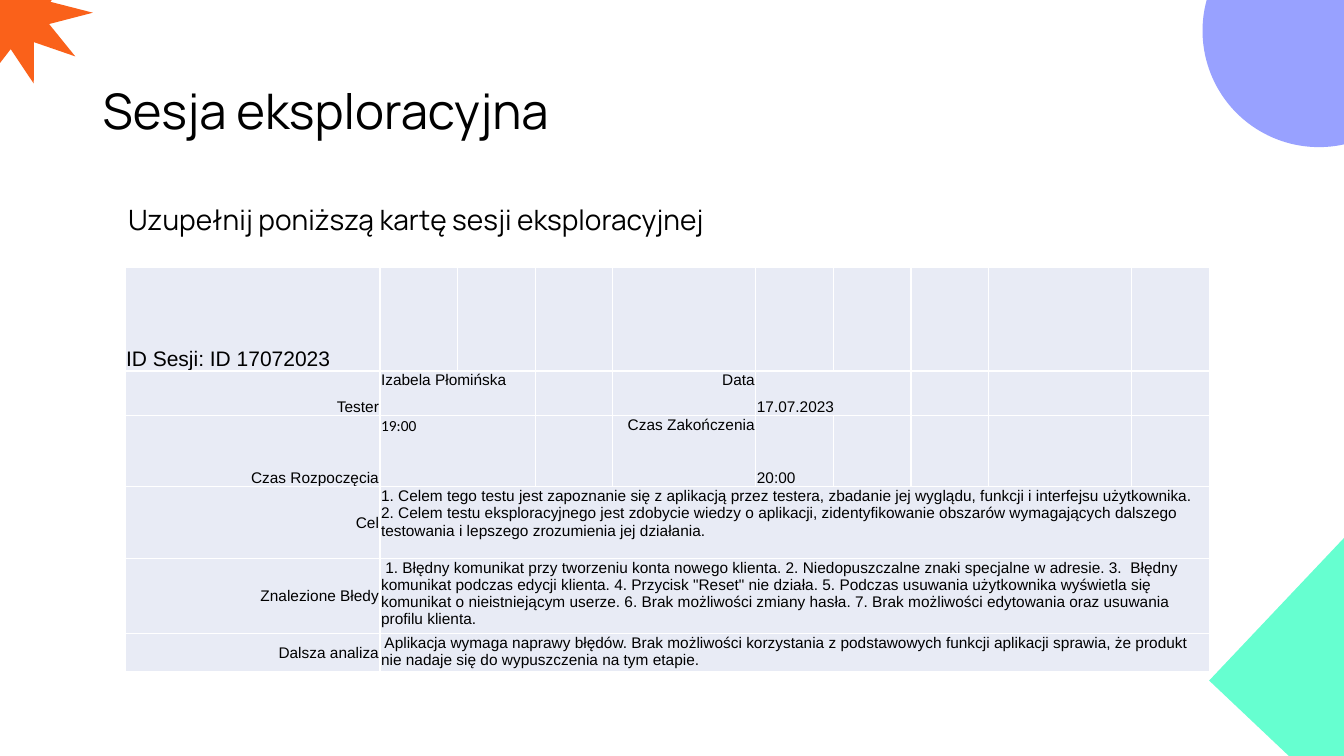
"""Build the exploratory session card slide."""
from dataclasses import dataclass, field

from lxml.etree import SubElement
from pptx import Presentation
from pptx.dml.color import RGBColor
from pptx.enum.shapes import MSO_SHAPE
from pptx.enum.text import MSO_ANCHOR, PP_ALIGN
from pptx.oxml.ns import qn
from pptx.slide import Slide
from pptx.table import _Cell
from pptx.text.text import TextFrame
from pptx.util import Pt

BLACK = RGBColor(0x00, 0x00, 0x00)
WHITE = RGBColor(0xFF, 0xFF, 0xFF)
VIOLET = RGBColor(0x98, 0xA1, 0xFF)
MINT = RGBColor(0x66, 0xFF, 0xD0)
ORANGE = RGBColor(0xFA, 0x61, 0x1A)
CELL_FILL = RGBColor(0xE8, 0xEB, 0xF5)

NARROW, WIDE = 55.44, 102.24
COLUMN_WIDTHS = [182.16] + ([NARROW] * 3 + [WIDE]) * 2 + [NARROW]
ROW_HEIGHTS = [74.16, 31.68, 51.12, 51.12, 25.92, 25.92]
TABLE_LEFT, TABLE_TOP = 89.28, 190.8


@dataclass(frozen=True)
class Decoration:
    """A coloured preset shape at the edge of the slide."""

    kind: MSO_SHAPE
    left: float
    top: float
    width: float
    height: float
    color: RGBColor
    rotation: float = 0
    adjustments: tuple[float, ...] = ()


@dataclass(frozen=True)
class Heading:
    """A line of text above the table."""

    text: str
    top: float
    height: float
    size: float
    frame_format: dict
    para_format: dict = field(default_factory=dict)


@dataclass(frozen=True)
class Entry:
    """The text of one table cell."""

    row: int
    column: int
    text: str
    anchor: MSO_ANCHOR = MSO_ANCHOR.TOP
    align: PP_ALIGN = PP_ALIGN.LEFT
    columns: int = 1
    font: str = "Arial"
    size: float = 11


DECORATIONS = [
    Decoration(MSO_SHAPE.OVAL, 858.96, -61.2, 166.32, 166.32, VIOLET),
    Decoration(MSO_SHAPE.RECTANGLE, 890.64, 354.24, 279.36, 194.4, MINT, 313.4),
    Decoration(MSO_SHAPE.STAR_10_POINT, -46.08, -43.2, 110.16, 105.12, ORANGE,
               343.3, (0.243, 1.051)),
]

HEADINGS = [
    Heading("Sesja eksploracyjna", 28.8, 104.4, 35,
            {"vertical_anchor": MSO_ANCHOR.MIDDLE}),
    Heading("Uzupełnij poniższą kartę sesji eksploracyjnej", 144, 342.72, 20,
            {"margin_left": Pt(25.2)}, {"space_before": Pt(10)}),
]

BOTTOM, MIDDLE, RIGHT = MSO_ANCHOR.BOTTOM, MSO_ANCHOR.MIDDLE, PP_ALIGN.RIGHT
ENTRIES = [
    Entry(0, 0, "ID Sesji: ID 17072023", BOTTOM, size=15),
    Entry(1, 0, "Tester", BOTTOM, RIGHT),
    Entry(1, 1, "Izabela Płomińska", columns=2),
    Entry(1, 4, "Data", align=RIGHT),
    Entry(1, 5, "17.07.2023", BOTTOM, columns=2),
    Entry(2, 0, "Czas Rozpoczęcia", BOTTOM, RIGHT),
    Entry(2, 1, "19:00", columns=2, font="Calibri"),
    Entry(2, 4, "Czas Zakończenia", align=RIGHT),
    Entry(2, 5, "20:00 ", BOTTOM),
    Entry(3, 0, "Cel", MIDDLE, RIGHT),
    Entry(3, 1, "1. Celem tego testu jest zapoznanie się z aplikacją przez testera, "
          "zbadanie jej wyglądu, funkcji i interfejsu użytkownika. 2. Celem testu "
          "eksploracyjnego jest zdobycie wiedzy o aplikacji, zidentyfikowanie "
          "obszarów wymagających dalszego testowania i lepszego zrozumienia jej "
          "działania.", columns=9),
    Entry(4, 0, "Znalezione Błedy", MIDDLE, RIGHT),
    Entry(4, 1, " 1. Błędny komunikat przy tworzeniu konta nowego klienta. "
          "2. Niedopuszczalne znaki specjalne w adresie. 3.  Błędny komunikat "
          "podczas edycji klienta. 4. Przycisk \"Reset\" nie działa. 5. Podczas "
          "usuwania użytkownika wyświetla się komunikat o nieistniejącym userze. "
          "6. Brak możliwości zmiany hasła. 7. Brak możliwości edytowania oraz "
          "usuwania profilu klienta.", columns=9),
    Entry(5, 0, "Dalsza analiza", MIDDLE, RIGHT),
    Entry(5, 1, " Aplikacja wymaga naprawy błędów. Brak możliwości korzystania z "
          "podstawowych funkcji aplikacji sprawia, że produkt nie nadaje się do "
          "wypuszczenia na tym etapie.", columns=9),
]


def apply_format(target: object, values: dict) -> None:
    """Set each named attribute of the target."""
    for name, value in values.items():
        setattr(target, name, value)


def write_text(frame: TextFrame, text: str, font: str, size: float,
               para_format: dict) -> None:
    """Write one formatted paragraph into a text frame."""
    para = frame.paragraphs[0]
    apply_format(para, para_format)
    span = para.add_run()
    span.text = text
    apply_format(span.font, {"name": font, "size": Pt(size)})
    span.font.color.rgb = BLACK


def draw_decoration(page: Slide, item: Decoration) -> None:
    """Draw one edge shape."""
    shape = page.shapes.add_shape(item.kind, Pt(item.left), Pt(item.top),
                                  Pt(item.width), Pt(item.height))
    shape.rotation = item.rotation
    for index, value in enumerate(item.adjustments):
        shape.adjustments[index] = value
    shape.shadow.inherit = False
    shape.fill.solid()
    shape.fill.fore_color.rgb = item.color
    shape.line.fill.background()


def draw_heading(page: Slide, item: Heading) -> None:
    """Draw one heading."""
    box = page.shapes.add_textbox(Pt(66.24), Pt(item.top), Pt(784.08), Pt(item.height))
    apply_format(box.text_frame, {"word_wrap": True, **item.frame_format})
    write_text(box.text_frame, item.text, "Manrope", item.size,
               {"line_spacing": 0.9, **item.para_format})


def style_cell(cell: _Cell) -> None:
    """Give a cell its white borders and its fill."""
    properties = cell._tc.get_or_add_tcPr()
    for side in ("a:lnL", "a:lnR", "a:lnT", "a:lnB"):
        line = SubElement(properties, qn(side), w=str(Pt(1)))
        fill = SubElement(line, qn("a:solidFill"))
        SubElement(fill, qn("a:srgbClr"), val=str(WHITE))
    cell.fill.solid()
    cell.fill.fore_color.rgb = CELL_FILL


def draw_card(page: Slide) -> None:
    """Draw the session card table."""
    table = page.shapes.add_table(
        len(ROW_HEIGHTS), len(COLUMN_WIDTHS), Pt(TABLE_LEFT), Pt(TABLE_TOP),
        Pt(sum(COLUMN_WIDTHS)), Pt(sum(ROW_HEIGHTS))).table
    apply_format(table, {"first_row": False, "horz_banding": False})
    for column, width in zip(table.columns, COLUMN_WIDTHS):
        column.width = Pt(width)
    for row, height in zip(table.rows, ROW_HEIGHTS):
        row.height = Pt(height)
    for cell in table.iter_cells():
        style_cell(cell)
    for entry in ENTRIES:
        cell = table.cell(entry.row, entry.column)
        if entry.columns > 1:
            cell.merge(table.cell(entry.row, entry.column + entry.columns - 1))
        apply_format(cell, {
            "margin_left": Pt(0.75), "margin_right": Pt(0.75),
            "margin_top": Pt(0.75), "margin_bottom": Pt(0),
            "vertical_anchor": entry.anchor})
        write_text(cell.text_frame, entry.text, entry.font, entry.size,
                   {"alignment": entry.align})


def main() -> None:
    """Build and save the deck."""
    deck = Presentation()
    apply_format(deck, {"slide_width": Pt(960), "slide_height": Pt(540)})
    page = deck.slides.add_slide(deck.slide_layouts[6])
    for decoration in DECORATIONS:
        draw_decoration(page, decoration)
    for heading in HEADINGS:
        draw_heading(page, heading)
    draw_card(page)
    deck.save("out.pptx")


if __name__ == "__main__":
    main()
